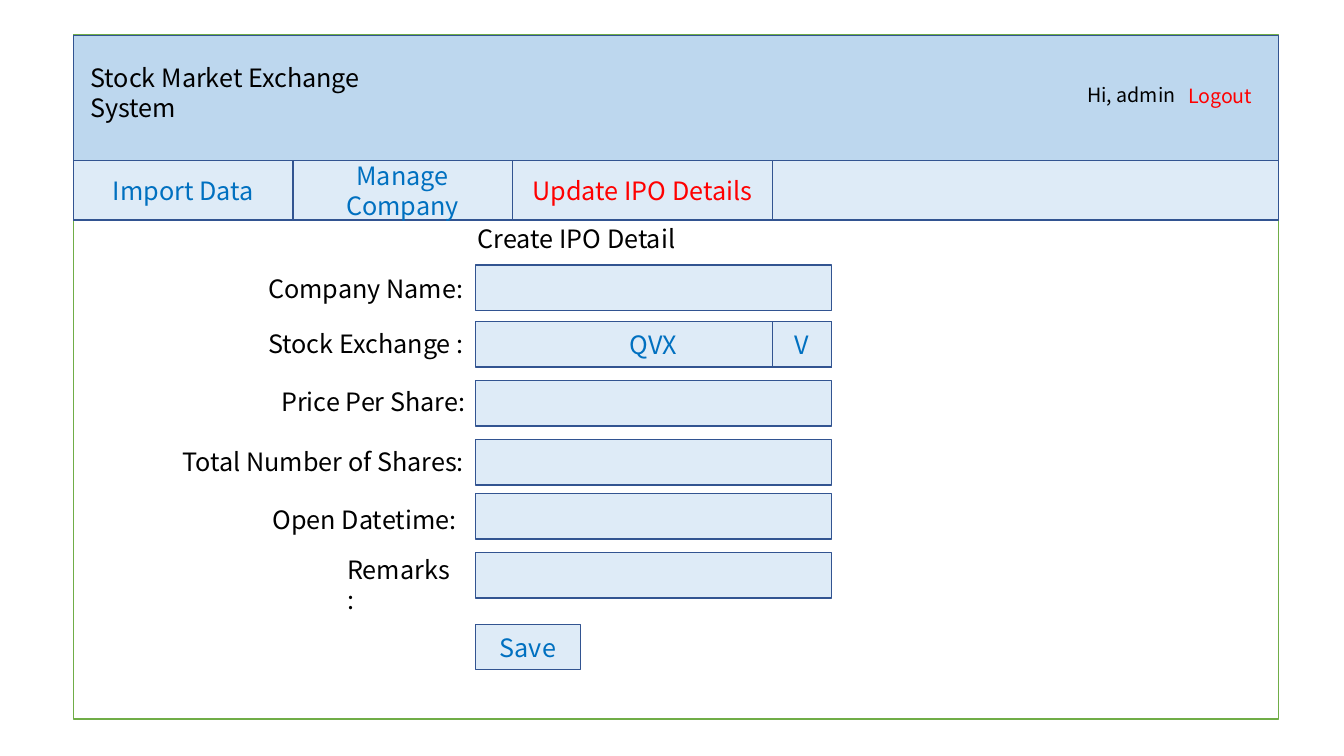
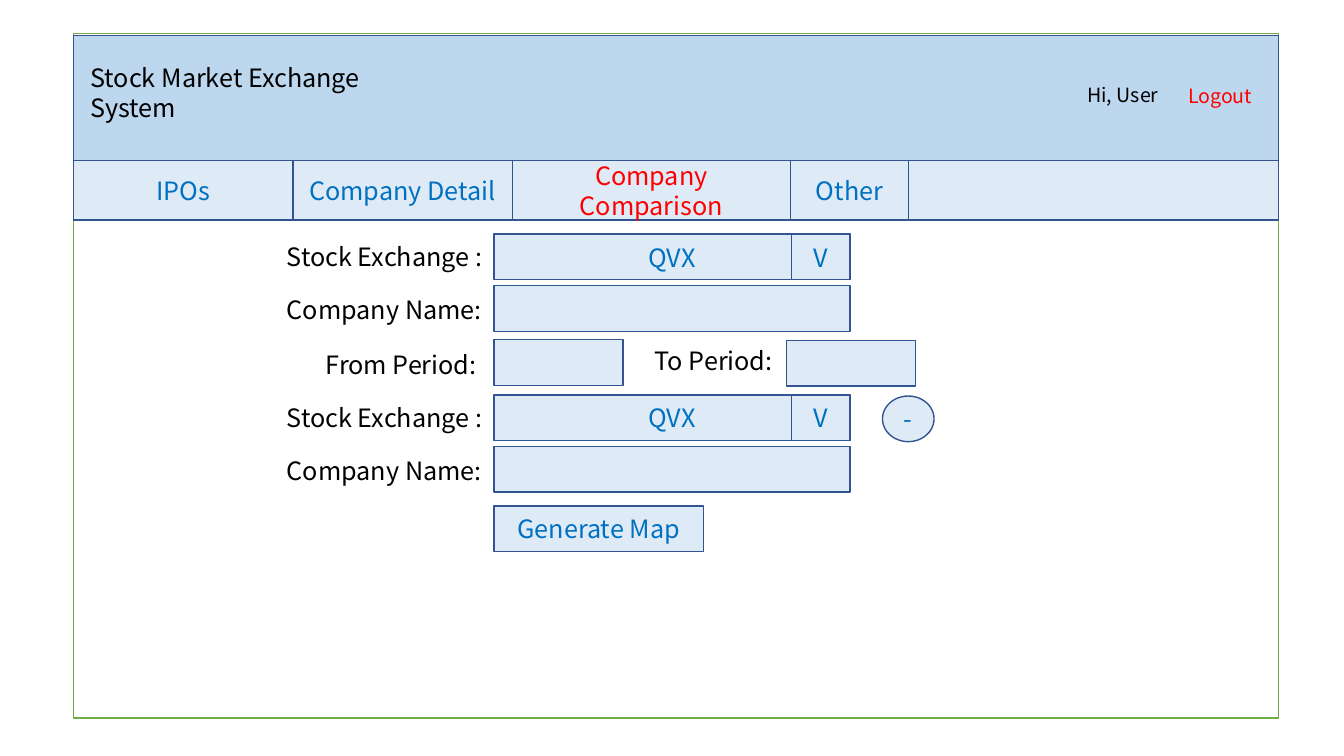
from collections import namedtuple
from dataclasses import dataclass
from pptx import Presentation
from pptx.dml.color import RGBColor
from pptx.enum.shapes import MSO_SHAPE
from pptx.enum.text import MSO_ANCHOR, MSO_AUTO_SIZE, PP_ALIGN
from pptx.util import Cm, Pt

RECT, OVAL = MSO_SHAPE.RECTANGLE, MSO_SHAPE.OVAL
MIDDLE = MSO_ANCHOR.MIDDLE
CENTER, LEFT = PP_ALIGN.CENTER, PP_ALIGN.LEFT
GROW = MSO_AUTO_SIZE.SHAPE_TO_FIT_TEXT

Box = namedtuple("Box", "x y w h")


@dataclass(frozen=True)
class Theme:
    font: str = "Noto Sans CJK SC"
    body: int = 18
    small: int = 14
    black: str = "000000"
    white: str = "FFFFFF"
    blue: str = "0070C0"
    red: str = "FF0000"
    green: str = "70AD47"
    edge: str = "325491"
    band: str = "BDD7EE"
    pale: str = "DEEBF7"


THEME = Theme()
FRAME = Box(1.85, 0.87, 30.37, 17.25)
HEAD = Box(FRAME.x, 0.89, FRAME.w, 3.15)
NAV = Box(FRAME.x, HEAD.y + HEAD.h, FRAME.w, 1.51)
BODY = Box(FRAME.x, NAV.y + NAV.h, FRAME.w, 12.57)
FIELD_W, FIELD_H, DROP_W = 8.97, 1.15, 1.48


def write(frame, text, size=THEME.body, color=THEME.black, align=LEFT):
    frame.word_wrap = True
    para = frame.paragraphs[0]
    para.alignment = align
    run = para.add_run()
    run.text = text
    run.font.name = THEME.font
    run.font.size = Pt(size)
    run.font.color.rgb = RGBColor.from_string(color)


def label(slide, x, y, w, text, h=1.03, **style):
    area = slide.shapes.add_textbox(Cm(x), Cm(y), Cm(w), Cm(h))
    write(area.text_frame, text, **style)
    area.text_frame.auto_size = GROW


def panel(slide, box, text="", kind=RECT, fill=THEME.pale, line=THEME.edge, color=THEME.blue):
    shape = slide.shapes.add_shape(kind, *map(Cm, box))
    shape.shadow.inherit = False
    shape.fill.solid()
    shape.fill.fore_color.rgb = RGBColor.from_string(fill)
    shape.line.color.rgb = RGBColor.from_string(line)
    shape.line.width = Pt(1)
    if text:
        shape.text_frame.vertical_anchor = MIDDLE
        write(shape.text_frame, text, color=color, align=CENTER)


def header(slide, box, user):
    panel(slide, box, fill=THEME.band)
    label(slide, box.x + 0.18, box.y + 0.56, 9.4, "Stock Market Exchange System")
    right = box.x + box.w
    for text, gap, top, color in (
        (user, 5.07, 1.07, THEME.black),
        ("Logout", 2.53, 1.09, THEME.red),
    ):
        label(slide, right - gap, box.y + top, 3.66, text,
              h=0.86, size=THEME.small, color=color)


def menu(slide, box, tabs, active):
    panel(slide, box)
    x = box.x
    for text, width in tabs:
        color = THEME.red if text == active else THEME.blue
        panel(slide, Box(x, box.y, width, box.h), text, color=color)
        x += width


def field(slide, x, y, name, dx=5.47, dy=0.09, w=5.77, width=FIELD_W):
    panel(slide, Box(x, y, width, FIELD_H))
    label(slide, x - dx, y + dy, w, name)


def choice(slide, x, y):
    panel(slide, Box(x, y, FIELD_W, FIELD_H), "QVX")
    label(slide, x - 5.47, y + 0.06, 5.77, "Stock Exchange :")
    panel(slide, Box(x + FIELD_W - DROP_W, y, DROP_W, FIELD_H), "V")


def offer(slide, box):
    x, y = box.x + 10.13, box.y
    label(slide, x - 0.19, y - 0.04, 12.67, "Create IPO Detail")
    field(slide, x, y + 1.13, "Company Name:")
    choice(slide, x, y + 2.55)
    for name, top, dx, dy, w in (
        ("Price Per Share:", 4.04, 5.14, 0.01, 5.77),
        ("Total Number of Shares:", 5.52, 7.63, 0.05, 7.65),
        ("Open Datetime:", 6.88, 5.36, 0.15, 5.77),
        ("Remarks:", 8.37, 3.48, -0.07, 3.15),
    ):
        field(slide, x, y + top, name, dx, dy, w)
    panel(slide, Box(x, y + 10.18, 2.65, FIELD_H), "Save")


def compare(slide, box):
    x, y = box.x + 10.6, box.y
    for top in (0.35, 4.4):
        choice(slide, x, y + top)
        field(slide, x, y + top + 1.3, "Company Name:")
    field(slide, x, y + 3.01, "From Period:", 4.49, 0.13, 4.37, 3.25)
    field(slide, x + 7.37, y + 3.03, "To Period:", 3.57, 0, 4.37, 3.25)
    panel(slide, Box(x + 9.79, y + 4.43, 1.3, FIELD_H), "-", kind=OVAL)
    panel(slide, Box(x, y + 7.2, 5.28, FIELD_H), "Generate Map")


def page(deck, user, tabs, active, form, top=FRAME.y):
    slide = deck.slides.add_slide(deck.slide_layouts[6])
    panel(slide, FRAME._replace(y=top), fill=THEME.white, line=THEME.green)
    header(slide, HEAD, user)
    menu(slide, NAV, tabs, active)
    form(slide, BODY)


deck = Presentation()
deck.slide_width, deck.slide_height = Cm(33.87), Cm(19.05)
page(deck, "Hi, admin",
     (("Import Data", 5.53), ("Manage Company", 5.53), ("Update IPO Details", 6.56)),
     "Update IPO Details", offer)
page(deck, "Hi, User",
     (("IPOs", 5.53), ("Company Detail", 5.53), ("Company Comparison", 7.01), ("Other", 2.98)),
     "Company Comparison", compare, top=0.84)
deck.save("out.pptx")
